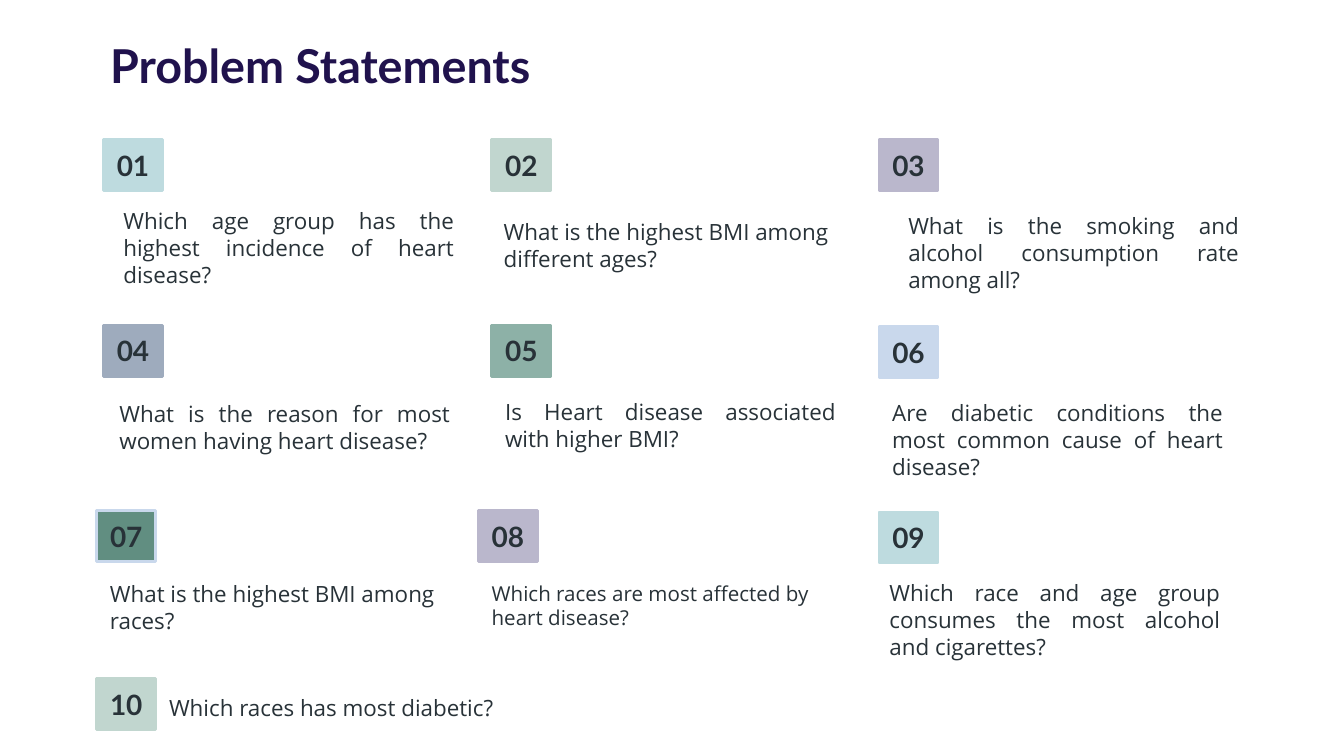
"""Build the Problem Statements slide: ten numbered questions."""
from pptx import Presentation
from pptx.dml.color import RGBColor
from pptx.enum.shapes import MSO_SHAPE
from pptx.enum.text import MSO_ANCHOR, MSO_AUTO_SIZE, PP_ALIGN as ALIGN
from pptx.util import Inches, Pt

NAVY = RGBColor(0x20, 0x12, 0x4D)
INK = RGBColor(0x28, 0x32, 0x38)
AQUA = RGBColor(0xBE, 0xDB, 0xDF)
MINT = RGBColor(0xC1, 0xD6, 0xCF)
LILAC = RGBColor(0xBA, 0xB7, 0xCC)
SLATE = RGBColor(0x9E, 0xAB, 0xBD)
SAGE = RGBColor(0x8D, 0xB1, 0xA7)
SKY = RGBColor(0xC9, 0xD8, 0xEC)
GREEN = RGBColor(0x61, 0x8E, 0x81)

TITLE = {"size": Pt(25), "name": "Lato", "bold": True}
NUMBER = {"size": Pt(15), "name": "Lato", "bold": True}
QUESTION = {"size": Pt(12), "name": "Open Sans", "bold": False}
SMALL = {**QUESTION, "size": Pt(11)}
LEFT, JUSTIFY = ALIGN.LEFT, ALIGN.JUSTIFY


def write(box, text, style, color, align, side=0.1):
    frame = box.text_frame
    layout = {
        "word_wrap": True,
        "auto_size": MSO_AUTO_SIZE.NONE,
        "vertical_anchor": MSO_ANCHOR.MIDDLE,
        "margin_left": Inches(side),
        "margin_right": Inches(side),
        "margin_top": Inches(0.1),
        "margin_bottom": Inches(0.1),
    }
    for name, value in layout.items():
        setattr(frame, name, value)
    para = frame.paragraphs[0]
    para.alignment = align
    span = para.add_run()
    span.text = text
    for name, value in style.items():
        setattr(span.font, name, value)
    span.font.color.rgb = color


deck = Presentation()
deck.slide_width = Inches(10)
deck.slide_height = deck.slide_width * 9 // 16
page = deck.slides.add_slide(deck.slide_layouts[5])

title = page.shapes.title
title.left, title.top = Inches(0.72), Inches(0.28)
title.width, title.height = Inches(6.33), Inches(0.4)
write(title, "Problem Statements", TITLE, NAVY, LEFT)

items = [
    ((0.77, 1.04), AQUA, AQUA, (0.82, 1.56, 2.66, 0.57), JUSTIFY, QUESTION,
     "Which age group has the highest incidence of heart disease?"),
    ((3.66, 1.04), MINT, MINT, (3.65, 1.55, 2.66, 0.55), LEFT, QUESTION,
     "What is the highest BMI among different ages?"),
    ((6.54, 1.04), LILAC, LILAC, (6.66, 1.53, 2.66, 0.7), JUSTIFY, QUESTION,
     "What is the smoking and alcohol consumption rate among all?"),
    ((0.77, 2.42), SLATE, SLATE, (0.79, 2.81, 2.66, 0.73), JUSTIFY, QUESTION,
     "What is the reason for most women having heart disease?"),
    ((3.66, 2.42), SAGE, SAGE, (3.66, 2.89, 2.66, 0.55), JUSTIFY, QUESTION,
     "Is Heart disease associated with higher BMI?"),
    ((6.54, 2.43), SKY, SKY, (6.54, 2.92, 2.66, 0.7), JUSTIFY, QUESTION,
     "Are diabetic conditions the most common cause of heart disease?"),
    ((0.72, 3.8), GREEN, SKY, (0.72, 4.24, 2.66, 0.55), LEFT, QUESTION,
     "What is the highest BMI among races?"),
    ((3.56, 3.8), LILAC, LILAC, (3.56, 4.23, 2.96, 0.55), LEFT, SMALL,
     "Which races are most affected by heart disease?"),
    ((6.54, 3.81), AQUA, AQUA, (6.52, 4.26, 2.66, 0.7), JUSTIFY, QUESTION,
     "Which race and age group consumes the most alcohol and cigarettes?"),
    ((0.72, 5.05), MINT, MINT, (1.16, 4.99, 2.66, 0.55), LEFT, QUESTION,
     "Which races has most diabetic?"),
]

for number, (corner, fill, line, area, align, style, text) in enumerate(items, 1):
    badge = page.shapes.add_shape(
        MSO_SHAPE.RECTANGLE, *map(Inches, corner), Inches(0.44), Inches(0.38))
    badge.name = f"Number {number:02}"
    badge.shadow.inherit = False
    badge.fill.solid()
    badge.fill.fore_color.rgb = fill
    badge.line.color.rgb = line
    badge.line.width = Pt(1.5)
    write(badge, f"{number:02}", NUMBER, INK, ALIGN.CENTER, side=0)

    question = page.shapes.add_textbox(*map(Inches, area))
    question.name = f"Question {number:02}"
    write(question, text, style, INK, align)

deck.save("out.pptx")
